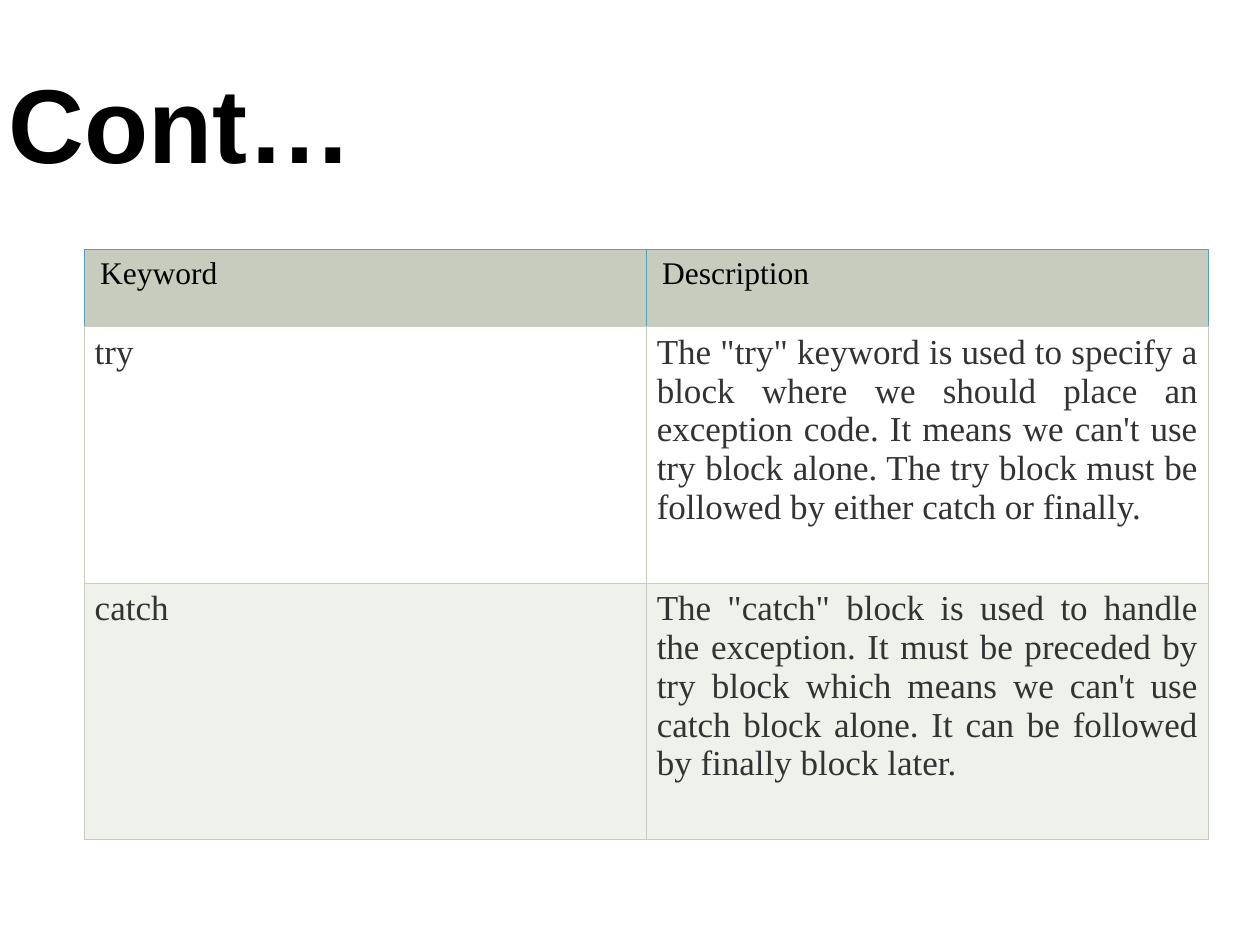
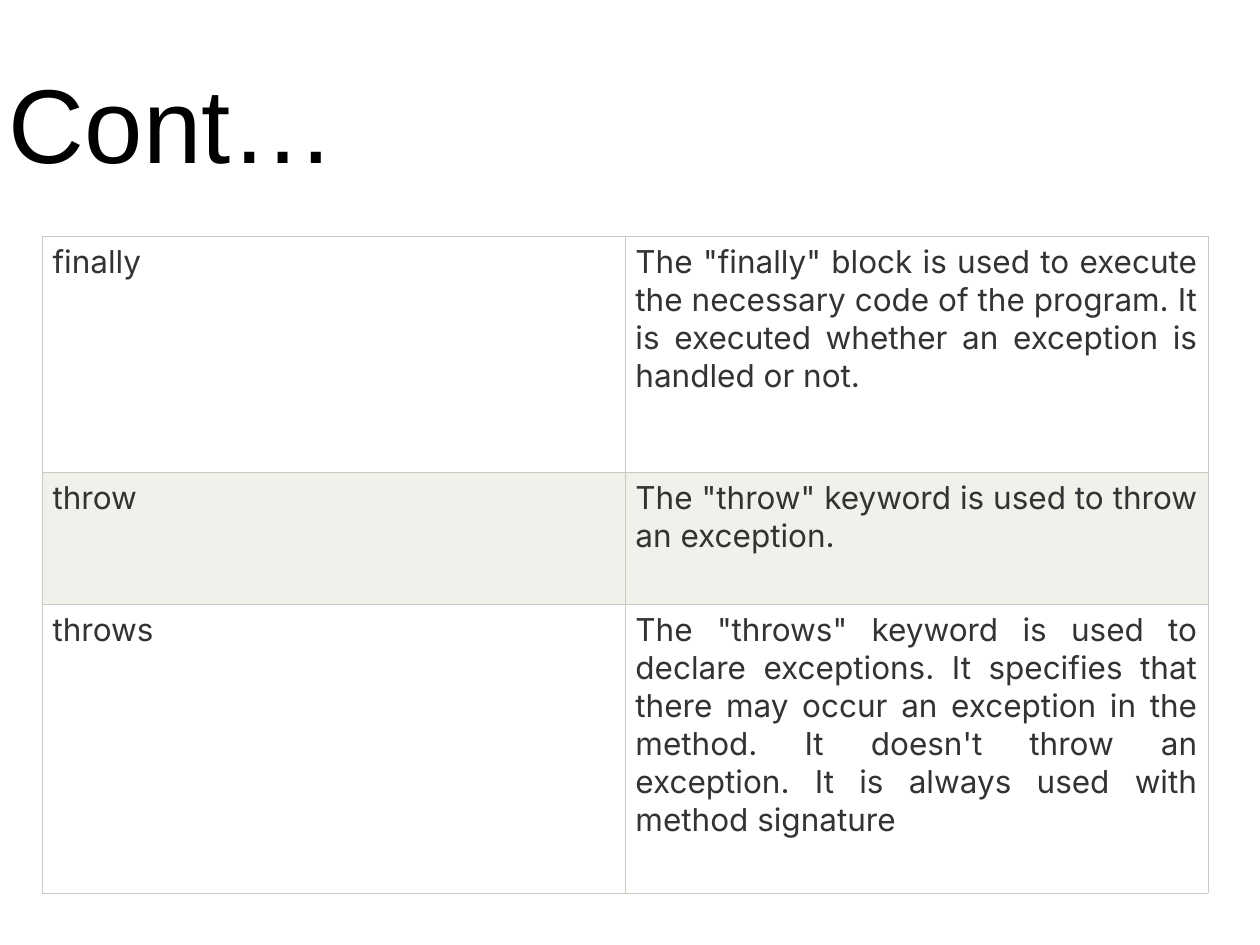
from lxml.etree import SubElement
from pptx import Presentation
from pptx.dml.color import RGBColor
from pptx.enum.text import MSO_ANCHOR, PP_ALIGN
from pptx.oxml.ns import qn
from pptx.util import Cm, Pt

BLACK = RGBColor(0x00, 0x00, 0x00)
DARK_GREY = RGBColor(0x33, 0x33, 0x33)
WHITE = RGBColor(0xFF, 0xFF, 0xFF)
SAGE = RGBColor(0xC7, 0xCC, 0xBE)
PALE_SAGE = RGBColor(0xEF, 0xF1, 0xEB)
TEAL = RGBColor(0x50, 0xA3, 0xBA)

BORDER_WIDTH = Pt(0.34)


def write_text(text_frame, text, font="Arial", size=18, color=BLACK,
               bold=False, align=PP_ALIGN.LEFT):
    paragraph = text_frame.paragraphs[0]
    paragraph.alignment = align
    run = paragraph.add_run()
    run.text = text
    run.font.name = font
    run.font.size = Pt(size)
    run.font.color.rgb = color
    run.font.bold = bold


def format_cell(cell, fill, side_margin, edge_color):
    cell.margin_left = cell.margin_right = Cm(side_margin)
    cell.margin_top = cell.margin_bottom = Cm(0.13)
    properties = cell._tc.get_or_add_tcPr()
    # The bottom edge is always sage; borders come before the fill
    for tag, color in (("a:lnL", edge_color), ("a:lnR", edge_color),
                       ("a:lnT", edge_color), ("a:lnB", SAGE)):
        line = SubElement(properties, qn(tag), w=str(BORDER_WIDTH))
        solid = SubElement(line, qn("a:solidFill"))
        SubElement(solid, qn("a:srgbClr"), val=str(color))
    cell.fill.solid()
    cell.fill.fore_color.rgb = fill


# Content of the two slides
slides = [
    {
        "title_bold": True, "title_width": 24.33, "font": "Times New Roman", "size": 20,
        "left": 1.7, "top": 5.03, "column_width": 11.33, "row_heights": [1.55, 5.17, 5.17],
        "header": ("Keyword", "Description"),
        "keywords": [
            ("try", "The \"try\" keyword is used to specify a block where we should place "
                    "an exception code. It means we can't use try block alone. The try "
                    "block must be followed by either catch or finally."),
            ("catch", "The \"catch\" block is used to handle the exception. It must be "
                      "preceded by try block which means we can't use catch block alone. "
                      "It can be followed by finally block later."),
        ],
    },
    {
        "title_bold": False, "title_width": 22.86, "font": "Inter", "size": 18,
        "left": 0.85, "top": 4.77, "column_width": 11.75, "row_heights": [4.75, 2.66, 5.82],
        "header": None,
        "keywords": [
            ("finally", "The \"finally\" block is used to execute the necessary code of the "
                        "program. It is executed whether an exception is handled or not."),
            ("throw", "The \"throw\" keyword is used to throw an exception."),
            ("throws", "The \"throws\" keyword is used to declare exceptions. It specifies "
                       "that there may occur an exception in the method. It doesn't throw "
                       "an exception. It is always used with method signature"),
        ],
    },
]

presentation = Presentation()
presentation.slide_width = Cm(25.4)
presentation.slide_height = Cm(19.05)

for content in slides:
    slide = presentation.slides.add_slide(presentation.slide_layouts[6])
    slide.background.fill.solid()
    slide.background.fill.fore_color.rgb = WHITE

    # Title
    title = slide.shapes.add_textbox(Cm(0), Cm(0.76), Cm(content["title_width"]), Cm(3.18))
    title_frame = title.text_frame
    title_frame.word_wrap = True
    title_frame.vertical_anchor = MSO_ANCHOR.MIDDLE
    title_frame.margin_left = title_frame.margin_right = Cm(0.18)
    title_frame.margin_top, title_frame.margin_bottom = Cm(0.2), Cm(0)
    write_text(title_frame, "Cont…", size=60, bold=content["title_bold"])

    # Keyword table
    heights = content["row_heights"]
    table = slide.shapes.add_table(
        len(heights), 2, Cm(content["left"]), Cm(content["top"]),
        Cm(2 * content["column_width"]), Cm(sum(heights))).table
    table.first_row = content["header"] is not None
    table.horz_banding = False
    for column in table.columns:
        column.width = Cm(content["column_width"])
    for row, height in zip(table.rows, heights):
        row.height = Cm(height)

    # Header row
    first_keyword_row = 0
    if content["header"]:
        first_keyword_row = 1
        for cell, label in zip(table.rows[0].cells, content["header"]):
            format_cell(cell, SAGE, 0.32, TEAL)
            write_text(cell.text_frame, label, font=content["font"])

    # Keyword rows, alternately white and pale sage
    for index, texts in enumerate(content["keywords"]):
        fill = PALE_SAGE if index % 2 else WHITE
        for cell, text in zip(table.rows[first_keyword_row + index].cells, texts):
            format_cell(cell, fill, 0.21, SAGE)
            write_text(cell.text_frame, text, font=content["font"], size=content["size"],
                       color=DARK_GREY, align=PP_ALIGN.JUSTIFY)

presentation.save("out.pptx")
